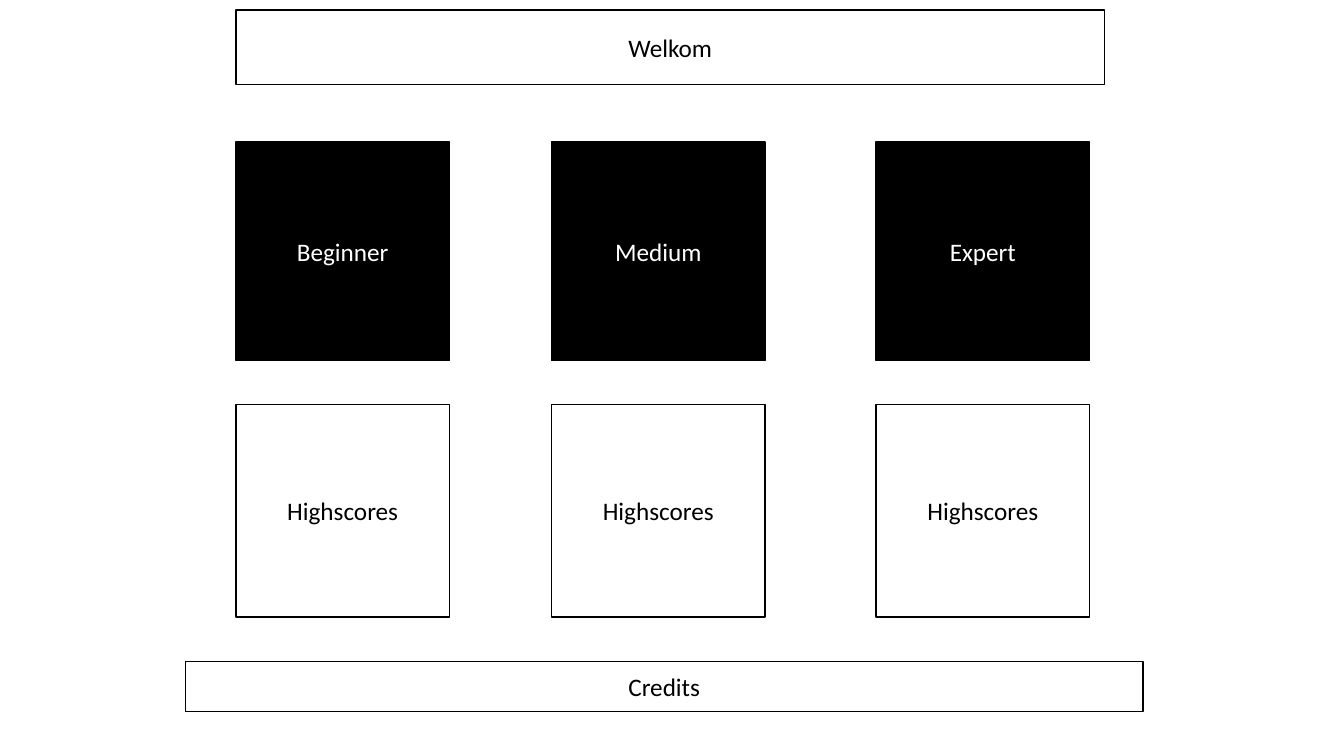
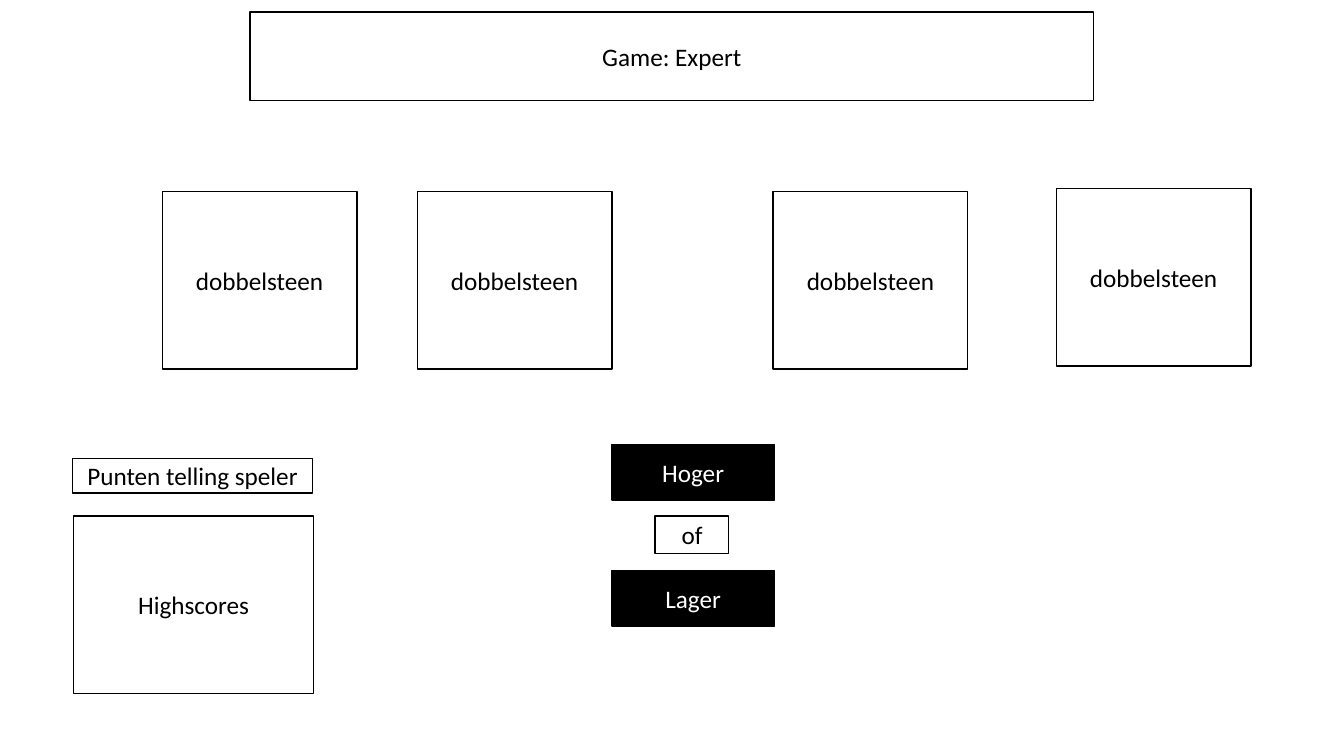
"""Wireframes of a dice game: the welcome screen and the expert game screen."""
from dataclasses import dataclass

from pptx import Presentation
from pptx.dml.color import RGBColor
from pptx.enum.shapes import MSO_SHAPE
from pptx.enum.text import MSO_ANCHOR, MSO_AUTO_SIZE, PP_ALIGN
from pptx.util import Inches, Pt


@dataclass(frozen=True)
class Theme:
    ink: RGBColor = RGBColor(0, 0, 0)
    paper: RGBColor = RGBColor(255, 255, 255)
    font: str = "Calibri"
    size: Pt = Pt(18)
    outline: Pt = Pt(1)


theme = Theme()
deck = Presentation()
deck.slide_width, deck.slide_height = Inches(13.333), Inches(7.5)
column, row = deck.slide_width / 100, deck.slide_height / 100
title_only = deck.slide_layouts[5]


def style_box(box, text, left, top, width, height, dark=False):
    box.left, box.width = round(left * column), round(width * column)
    box.top, box.height = round(top * row), round(height * row)
    box.fill.solid()
    box.fill.fore_color.rgb = theme.ink if dark else theme.paper
    box.line.color.rgb = theme.ink
    box.line.width = theme.outline
    frame = box.text_frame
    frame.text = text
    frame.word_wrap = True
    frame.auto_size = MSO_AUTO_SIZE.NONE
    frame.vertical_anchor = MSO_ANCHOR.MIDDLE
    label = frame.paragraphs[0]
    label.alignment = PP_ALIGN.CENTER
    font = label.runs[0].font
    font.name, font.size = theme.font, theme.size
    font.color.rgb = theme.paper if dark else theme.ink


def add_box(slide, text, *place, dark=False):
    box = slide.shapes.add_shape(MSO_SHAPE.RECTANGLE, 0, 0, 0, 0)
    box.shadow.inherit = False
    style_box(box, text, *place, dark=dark)


welcome = deck.slides.add_slide(title_only)
style_box(welcome.shapes.title, "Welkom", 17.55, 1.33, 64.65, 9.87)
level_width = 15.9
for level, left in (("Beginner", 17.55), ("Medium", 41.03), ("Expert", 65.18)):
    add_box(welcome, level, left, 18.8, level_width, 28.93, dark=True)
    add_box(welcome, "Highscores", left, 53.47, level_width, 28.13)
add_box(welcome, "Credits", 13.8, 87.47, 71.25, 6.67)

game = deck.slides.add_slide(title_only)
style_box(game.shapes.title, "Game: Expert", 18.6, 1.6, 62.78, 11.73)
die_width, panel_height = 14.48, 23.47
for left, top in ((12.08, 25.33), (31.05, 25.33), (57.53, 25.33), (78.6, 24.93)):
    add_box(game, "dobbelsteen", left, top, die_width, panel_height)

for guess, top in (("Hoger", 58.8), ("Lager", 75.47)):
    add_box(game, guess, 45.53, top, 12.08, 7.33, dark=True)
score_top, score_width = 68.27, 17.85
add_box(game, "of", 48.75, score_top, 5.48, 4.93)
add_box(game, "Punten telling speler", 5.4, 60.67, score_width, 4.53)
add_box(game, "Highscores", 5.48, score_top, score_width, panel_height)

deck.save("out.pptx")
